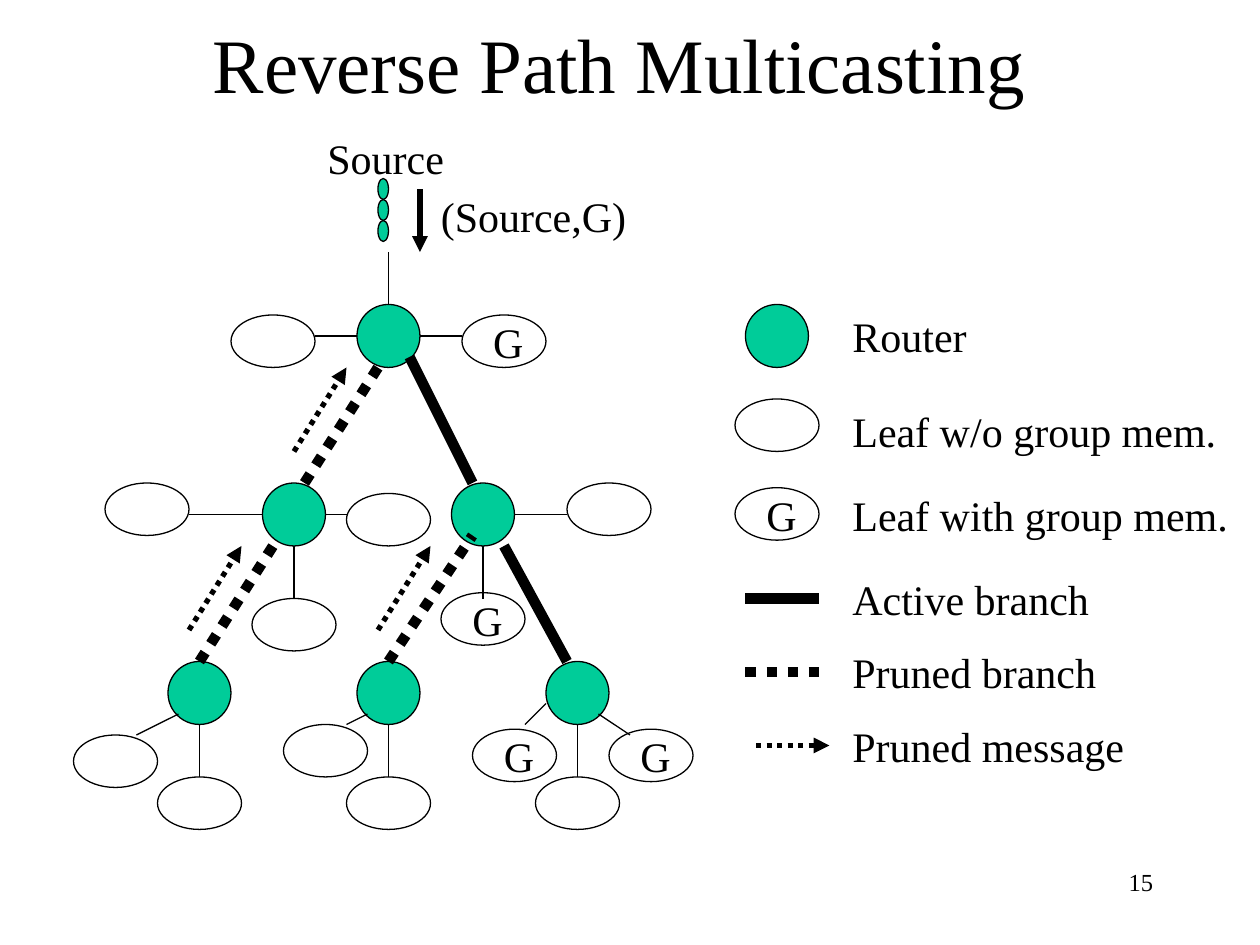
from pptx import Presentation
from pptx.util import Inches, Pt
from pptx.dml.color import RGBColor
from pptx.enum.dml import MSO_LINE
from pptx.enum.shapes import MSO_SHAPE, MSO_CONNECTOR
from pptx.enum.text import MSO_ANCHOR, PP_ALIGN
from pptx.oxml.ns import qn
from lxml.etree import SubElement

BLACK = RGBColor(0x00, 0x00, 0x00)
GREEN = RGBColor(0x00, 0xCC, 0x99)
FONT = "Times New Roman"

# All positions are in cells of a 120 x 90 grid over the slide
COLS, ROWS = 120, 90
WIDTH, HEIGHT = Inches(10), Inches(7.5)
ROUTER, LEAF, PACKET = (6, 6), (8, 5), (1, 2)

# Content: top left corners of the nodes (the last router and leaf are legend keys)
ROUTERS = [(34, 29), (25, 46), (43, 46), (16, 63), (34, 63), (52, 63), (71, 29)]
LEAVES = [(22, 30), (10, 46), (33, 47), (54, 46), (24, 57), (7, 70), (15, 74),
          (27, 69), (33, 74), (51, 74), (70, 38)]
GROUP_LEAVES = [(44, 30), (42, 56.45), (45, 69.45), (58, 69.45), (70, 46.45)]
PACKETS = [(36, 17 + 2 * i) for i in range(3)]

# Line styles: points, dotted, arrowhead
STYLES = {
    "link": (0.75, False, False),
    "active": (6, False, False),
    "pruned": (6, True, False),
    "message": (3, True, True),
    "flow": (3, False, True),
}
LINES = {
    "link": [(37, 24, 37, 29), (30, 32, 34, 32), (40, 32, 44, 32),
             (25, 49, 18, 49), (31, 49, 33, 49), (49, 49, 54, 49),
             (28, 52, 28, 57), (46, 52, 46, 57),
             (19, 69, 19, 74), (37, 69, 37, 74), (55, 69, 55, 74),
             (13, 70, 17, 68), (33, 69, 35, 68), (52, 67, 50, 69),
             (57, 68, 60, 70)],
    "active": [(39, 34, 45, 46), (48, 52, 54, 63), (71, 57, 78, 57)],
    "pruned": [(29, 46, 36, 35), (19, 63, 26, 52), (37, 63, 45, 51),
               (71, 64, 78, 64)],
    "message": [(28, 43, 33, 35), (18, 60, 23, 52), (36, 60, 41, 52),
                (72, 71, 79, 71)],
    "flow": [(40, 18, 40, 24)],
}
LABELS = [("Source", 30, 12, 14), ("(Source,G)", 40.8, 17.55, 21)]
LEGEND_LEFT, LEGEND_WIDTH = 80, 39.5
LEGEND = [("Router", 29), ("Leaf w/o group mem.", 38),
          ("Leaf with group mem.", 46), ("Active branch", 54),
          ("Pruned branch", 61), ("Pruned message", 68)]


def gx(col):
    return round(WIDTH * col / COLS)


def gy(row):
    return round(HEIGHT * row / ROWS)


def add_text(s, text, x, y, w, h=6, size=24, align=PP_ALIGN.LEFT,
             anchor=MSO_ANCHOR.TOP):
    tf = s.shapes.add_textbox(gx(x), gy(y), gx(w), gy(h)).text_frame
    tf.word_wrap = True
    tf.vertical_anchor = anchor
    p = tf.paragraphs[0]
    p.alignment = align
    r = p.add_run()
    r.text = text
    r.font.name, r.font.size = FONT, Pt(size)
    r.font.color.rgb = BLACK


def add_ellipse(s, corner, size, fill=None):
    (x, y), (w, h) = corner, size
    sp = s.shapes.add_shape(MSO_SHAPE.OVAL, gx(x), gy(y), gx(w), gy(h))
    sp.shadow.inherit = False
    if fill is None:
        sp.fill.background()
    else:
        sp.fill.solid()
        sp.fill.fore_color.rgb = fill
    sp.line.color.rgb = BLACK
    sp.line.width = Pt(0.75)


def add_line(s, ends, width, dotted, arrow):
    x1, y1, x2, y2 = ends
    ln = s.shapes.add_connector(MSO_CONNECTOR.STRAIGHT,
                                gx(x1), gy(y1), gx(x2), gy(y2))
    ln.line.color.rgb = BLACK
    ln.line.width = Pt(width)
    if dotted:
        ln.line.dash_style = MSO_LINE.ROUND_DOT  # sysDot
    spPr = ln._element.spPr
    if arrow:
        SubElement(spPr.find(qn("a:ln")), qn("a:tailEnd"), type="triangle")
    SubElement(spPr, qn("a:effectLst"))


def main():
    prs = Presentation()
    prs.slide_width, prs.slide_height = WIDTH, HEIGHT
    s = prs.slides.add_slide(prs.slide_layouts[6])

    # Title and page number
    add_text(s, "Reverse Path Multicasting", 8, 0, 102, 12, 44,
             PP_ALIGN.CENTER, MSO_ANCHOR.MIDDLE)
    add_text(s, "15", 86, 82, 25, 6, 14, PP_ALIGN.RIGHT)

    # Nodes
    for corner in ROUTERS:
        add_ellipse(s, corner, ROUTER, GREEN)
    for corner in PACKETS:
        add_ellipse(s, corner, PACKET, GREEN)
    for corner in LEAVES + GROUP_LEAVES:
        add_ellipse(s, corner, LEAF)
    for x, y in GROUP_LEAVES:
        add_text(s, "G", x + 1.8, y - 0.45, 6)

    # Links, branches and messages
    for style, lines in LINES.items():
        for ends in lines:
            add_line(s, ends, *STYLES[style])

    # Labels and legend
    for text, x, y, w in LABELS:
        add_text(s, text, x, y, w)
    for text, y in LEGEND:
        add_text(s, text, LEGEND_LEFT, y, LEGEND_WIDTH)

    prs.save("out.pptx")


if __name__ == "__main__":
    main()
